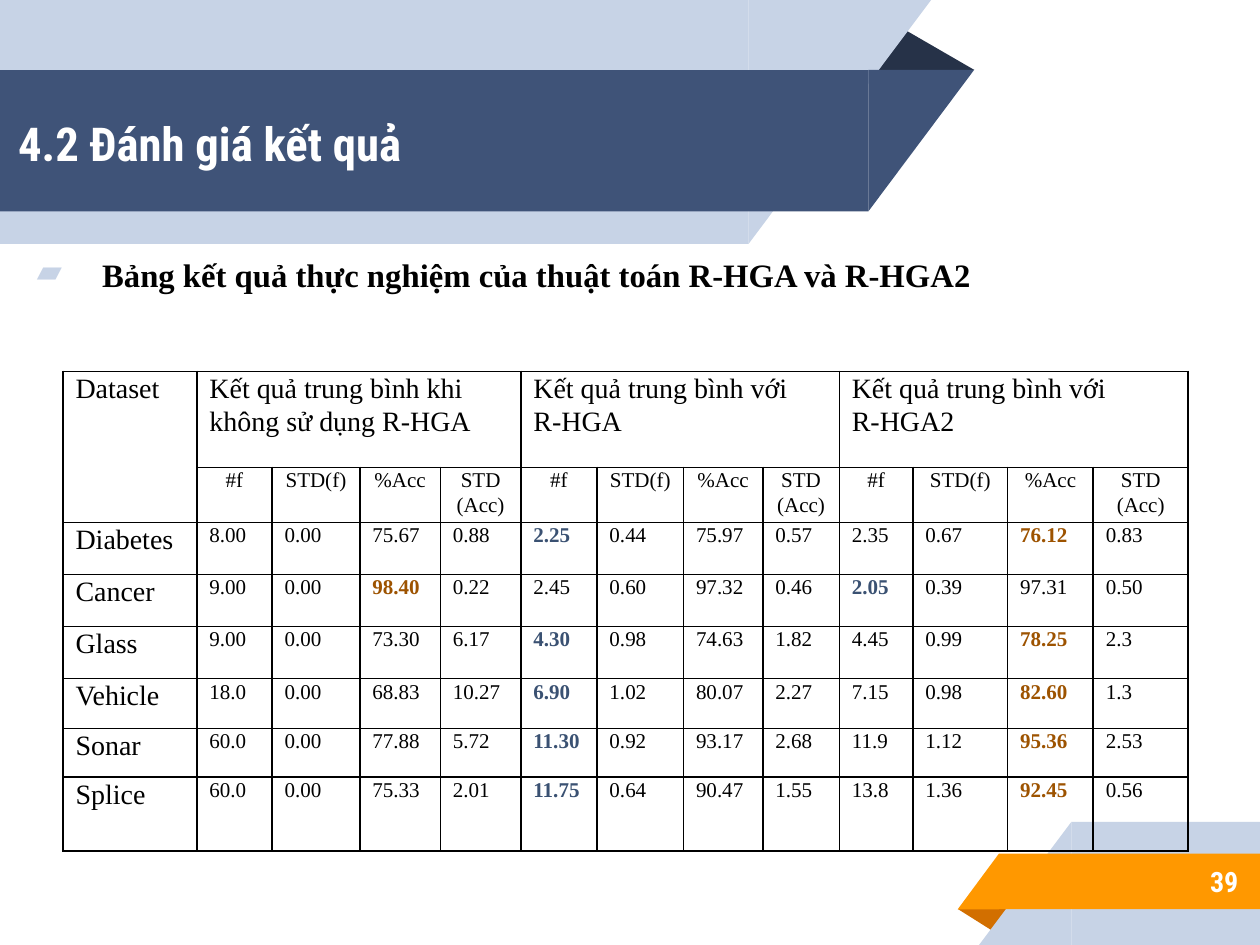
from lxml.etree import SubElement
from pptx import Presentation
from pptx.dml.color import RGBColor
from pptx.enum.shapes import MSO_SHAPE as Kind
from pptx.enum.text import MSO_ANCHOR as Anchor, PP_ALIGN as Align
from pptx.oxml import parse_xml
from pptx.oxml.ns import nsdecls, qn
from pptx.util import Pt

HEAD = "Roboto Condensed"
BODY = "Times New Roman"
BLACK, WHITE = "000000", "FFFFFF"
PALE, NAVY, DARK = "C7D3E6", "3F5378", "263248"
AMBER, RUST = "FF9800", "D26F00"
LEAST, BEST = "3A5172", "9D5300"

COLS = [57.4, 32.2, 37.7, 34.5, 34.5, 32.6, 37.1, 34, 32.8, 31.5, 40.7, 36.7, 40.7]
ROWS = [41.1, 23.6, 22.3, 22.3, 22.5, 21.4, 20.8, 31.7]
GROUPS = [
    "Kết quả trung bình khi không sử dụng R-HGA",
    "Kết quả trung bình với\nR-HGA",
    "Kết quả trung bình với\nR-HGA2",
]
FIELDS = ["#f", "STD(f)", "%Acc", "STD\n(Acc)"]
DATA = [
    "Diabetes 8.00 0.00 75.67 0.88 2.25 0.44 75.97 0.57 2.35 0.67 76.12 0.83",
    "Cancer 9.00 0.00 98.40 0.22 2.45 0.60 97.32 0.46 2.05 0.39 97.31 0.50",
    "Glass 9.00 0.00 73.30 6.17 4.30 0.98 74.63 1.82 4.45 0.99 78.25 2.3",
    "Vehicle 18.0 0.00 68.83 10.27 6.90 1.02 80.07 2.27 7.15 0.98 82.60 1.3",
    "Sonar 60.0 0.00 77.88 5.72 11.30 0.92 93.17 2.68 11.9 1.12 95.36 2.53",
    "Splice 60.0 0.00 75.33 2.01 11.75 0.64 90.47 1.55 13.8 1.36 92.45 0.56",
]


def rgb(code):
    return RGBColor.from_string(code)


def write(para, text, size, font=BODY, color=BLACK, bold=False):
    """Add one run per line of text, with line breaks between them."""
    for i, line in enumerate(text.split("\n")):
        if i:
            para.add_line_break()
        run = para.add_run()
        run.text = line
        run.font.size = Pt(size)
        run.font.name = font
        run.font.bold = bold
        run.font.color.rgb = rgb(color)


def block(slide, kind, box, color, turn=0, flip=True):
    shape = slide.shapes.add_shape(kind, *map(Pt, box))
    shape.shadow.inherit = False
    shape.fill.solid()
    shape.fill.fore_color.rgb = rgb(color)
    shape.line.fill.background()
    shape.rotation = turn
    if flip:
        shape._element.spPr.get_or_add_xfrm().set("flipH", "1")
    return shape


def fold(slide, box, color, turn=0):
    block(slide, Kind.ISOSCELES_TRIANGLE, box, color, turn, False).adjustments[0] = 0.324


def band(slide, left, mid, right, top, height, color, upper):
    """Draw a ribbon whose slanted end is right of mid (upper) or left of it."""
    flat, slant = (left, mid), (mid, right)
    if not upper:
        flat, slant = slant, flat
    turn = 180 if upper else 0
    for kind, (a, b) in ((Kind.RECTANGLE, flat), (Kind.RIGHT_TRIANGLE, slant)):
        block(slide, kind, (a, top, b - a, height), color, turn)


def label(slide, box, anchor):
    frame = slide.shapes.add_textbox(*map(Pt, box)).text_frame
    frame.word_wrap = True
    frame.vertical_anchor = anchor
    frame.margin_left = frame.margin_right = Pt(7.2)
    frame.margin_top = frame.margin_bottom = Pt(7.2)
    return frame.paragraphs[0]


def bullet(para, mark, color):
    para.space_before = Pt(6)
    props = para._p.get_or_add_pPr()
    props.set("marL", str(Pt(36)))
    props.set("indent", str(Pt(-28)))
    tint = SubElement(props, qn("a:buClr"))
    SubElement(tint, qn("a:srgbClr")).set("val", color)
    SubElement(props, qn("a:buChar")).set("char", mark)


def edge(cell):
    """Clear the fill of a cell and rule all four sides."""
    cell.fill.background()
    props = cell._tc.get_or_add_tcPr()
    for i, side in enumerate("LRTB"):
        props.insert(i, parse_xml(
            f'<a:ln{side} {nsdecls("a")} w="{Pt(0.75)}"><a:solidFill>'
            f'<a:srgbClr val="{BLACK}"/></a:solidFill></a:ln{side}>'))


def fill(cell, text, size, align, color=BLACK, bold=False):
    para = cell.text_frame.paragraphs[0]
    para.alignment = align
    para.line_spacing = 1.07
    write(para, text, size, color=color, bold=bold)


def grid(slide):
    table = slide.shapes.add_table(
        len(ROWS), len(COLS), Pt(27), Pt(159.2), Pt(sum(COLS)), Pt(sum(ROWS))).table
    table.first_row = table.horz_banding = False
    for col, width in zip(table.columns, COLS):
        col.width = Pt(width)
    for row, height in zip(table.rows, ROWS):
        row.height = Pt(height)
    for cell in table.iter_cells():
        cell.margin_left = cell.margin_right = Pt(5.4)
        cell.margin_top = cell.margin_bottom = 0
        edge(cell)

    table.cell(0, 0).merge(table.cell(1, 0))
    fill(table.cell(0, 0), "Dataset", 12, Align.JUSTIFY)
    for i, group in enumerate(GROUPS):
        first = 1 + i * len(FIELDS)
        table.cell(0, first).merge(table.cell(0, first + len(FIELDS) - 1))
        fill(table.cell(0, first), group, 12, Align.LEFT)
        for j, field in enumerate(FIELDS):
            fill(table.cell(1, first + j), field, 9, Align.CENTER)

    for r, line in enumerate(DATA, 2):
        name, *vals = line.split()
        fill(table.cell(r, 0), name, 12, Align.JUSTIFY)
        least = min(vals[0::4], key=float)
        best = max(vals[2::4], key=float)
        for c, val in enumerate(vals):
            color = BLACK
            if c % 4 == 0 and val == least:
                color = LEAST
            elif c % 4 == 2 and val == best:
                color = BEST
            fill(table.cell(r, c + 1), val, 9, Align.JUSTIFY, color, color != BLACK)


def main():
    deck = Presentation()
    deck.slide_width, deck.slide_height = Pt(540), Pt(405)
    slide = deck.slides.add_slide(deck.slide_layouts[6])

    fold(slide, (371.6, 12, 46, 18), DARK)
    band(slide, 0, 320.8, 399, 0, 104.5, PALE, True)
    band(slide, 0, 372.2, 417.5, 30, 60.6, NAVY, True)
    fold(slide, (410.5, 389.6, 23, 9.8), RUST, 180)
    band(slide, 419.6, 459.2, 540, 352.2, 52.8, PALE, False)
    band(slide, 410.5, 428.2, 540, 365.8, 23.9, AMBER, False)

    title = label(slide, (0.7, 31, 386.6, 60.5), Anchor.MIDDLE)
    write(title, "4.2 Đánh giá kết quả", 20, HEAD, WHITE, True)
    page = label(slide, (450, 365.2, 87.8, 25), Anchor.MIDDLE)
    page.alignment = Align.RIGHT
    write(page, "39", 12, HEAD, WHITE, True)
    topic = label(slide, (0.7, 102.2, 522.7, 46), Anchor.TOP)
    bullet(topic, "▰", PALE)
    write(topic, "Bảng kết quả thực nghiệm của thuật toán R-HGA và R-HGA2", 14, bold=True)
    grid(slide)
    deck.save("out.pptx")


if __name__ == "__main__":
    main()
